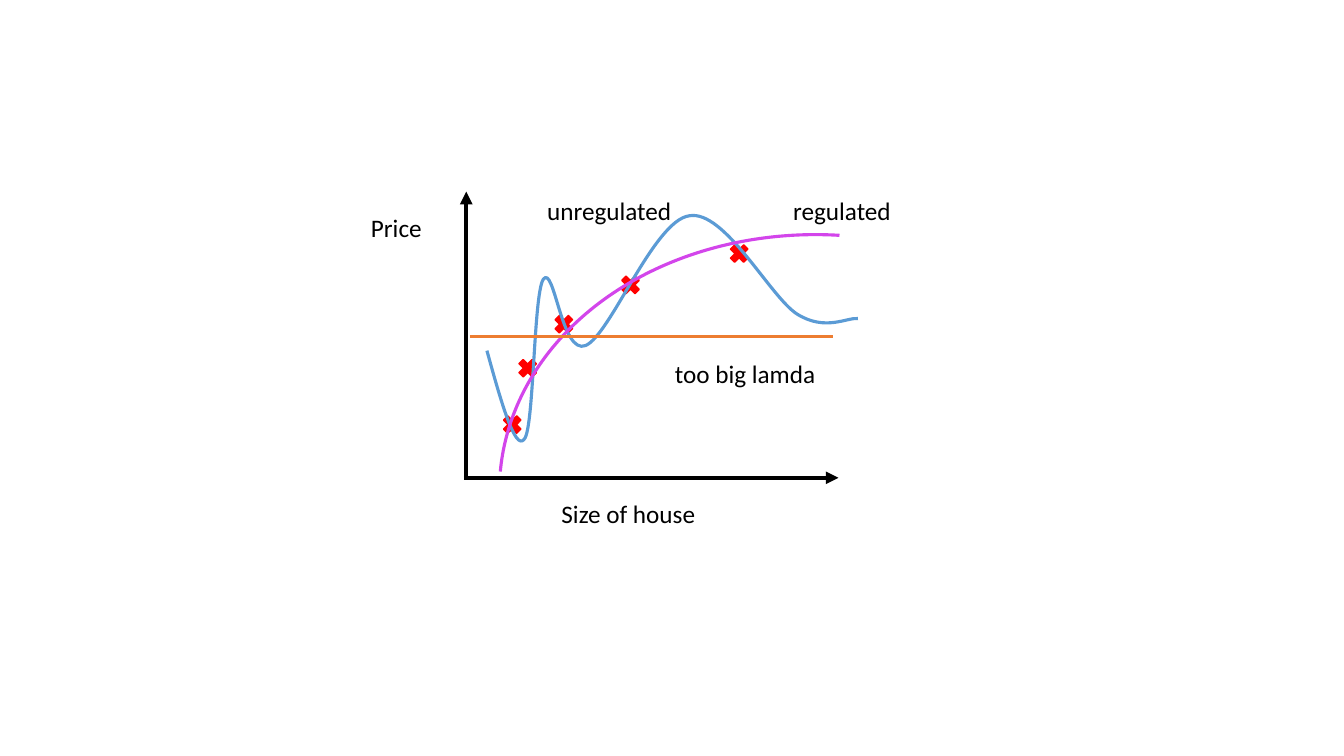
import math
import pptx
import pptx.util
import pptx.dml.color
import pptx.enum.shapes
import pptx.oxml
import pptx.oxml.ns

Cm = pptx.util.Cm
Pt = pptx.util.Pt
KIND = pptx.enum.shapes.MSO_SHAPE
INK = {"text": "000000", "axis": "000000", "mark": "FF0000",
       "wild": "5B9BD5", "smooth": "D345EB", "flat": "ED7D31"}
MARKS = [(3.59, 5.88), (3.98, 4.46), (4.89, 3.35), (6.57, 2.36), (9.31, 1.57)]
WILD = [(3.27, 4.34),
        (3.62, 5.61), (3.98, 6.88), (4.21, 6.57),
        (4.46, 6.3), (4.44, 2.94), (4.69, 2.54),
        (4.97, 2.15), (5.15, 4.47), (5.76, 4.21),
        (6.39, 3.93), (7.48, 1.06), (8.37, 0.94),
        (9.26, 0.78), (10.41, 2.99), (11.09, 3.42),
        (11.8, 3.86), (12.34, 3.5), (12.62, 3.53)]
HUB = (7.92, 4)
TILT = 8
NAMES = [("Price", 0.1, 0.73, 2.39, 1.24),
         ("Size of house", 4.9, 7.94, 5.13, 1.24)]
NOTES = [("unregulated", 4.54, 0.3, 3.73, 1.02),
         ("regulated", 10.74, 0.3, 3.73, 1.02),
         ("too big lamda", 7.76, 4.4, 4.37, 1.02)]


def tint(name):
    return pptx.dml.color.RGBColor.from_string(INK[name])


def stroke(item, ink, width):
    item.line.color.rgb = tint(ink)
    item.line.width = Pt(width)


def write(group, text, left, top, width, height, size=18, font="Calibri", ink="text"):
    box = group.shapes.add_textbox(Cm(left), Cm(top), Cm(width), Cm(height))
    box.text_frame.word_wrap = True
    run = box.text_frame.paragraphs[0].add_run()
    run.text = text
    run.font.size = Pt(size)
    run.font.name = font
    run.font.color.rgb = tint(ink)


def rule(group, start, end, ink, width, arrow=False):
    line = group.shapes.add_connector(
        pptx.enum.shapes.MSO_CONNECTOR.STRAIGHT,
        *(Cm(n) for n in (*start, *end)))
    stroke(line, ink, width)
    if arrow:
        tail = pptx.oxml.parse_xml(
            f'<a:tailEnd {pptx.oxml.ns.nsdecls("a")} type="triangle"/>')
        line.line._get_or_add_ln().append(tail)
    line._element.spPr.append(pptx.oxml.parse_xml(
        f'<a:effectLst {pptx.oxml.ns.nsdecls("a")}/>'))


def turn(knot):
    angle = math.radians(-TILT)
    a, b = knot[0] - HUB[0], knot[1] - HUB[1]
    return (HUB[0] + a * math.cos(angle) - b * math.sin(angle),
            HUB[1] + a * math.sin(angle) + b * math.cos(angle))


def bend(shape):
    legs = list(shape._element.iter(pptx.oxml.ns.qn("a:lnTo")))
    for first in range(0, len(legs), 3):
        cubic = pptx.oxml.parse_xml(
            f'<a:cubicBezTo {pptx.oxml.ns.nsdecls("a")}/>')
        legs[first].addprevious(cubic)
        for leg in legs[first:first + 3]:
            cubic.append(leg[0])
            leg.getparent().remove(leg)


def draw_axes(group, x, y):
    rule(group, (x + 2.75, y + 7.54), (x + 2.75, y + 0.33), "axis", 3, arrow=True)
    rule(group, (x + 2.69, y + 7.54), (x + 12.13, y + 7.54), "axis", 3, arrow=True)


def draw_names(group, x, y, names):
    for text, left, top, width, height in names:
        write(group, text, x + left, y + top, width, height)


def draw_marks(group, x, y, side=0.64):
    for left, top in MARKS:
        mark = group.shapes.add_shape(KIND.MATH_MULTIPLY, Cm(x + left), Cm(y + top),
                                      Cm(side), Cm(side))
        mark.shadow.inherit = False
        mark.fill.solid()
        mark.fill.fore_color.rgb = tint("mark")
        stroke(mark, "mark", 1)


def draw_fits(group, x, y):
    dots = [(Cm(x + a), Cm(y + b)) for a, b in map(turn, WILD)]
    pen = group.shapes.build_freeform(*dots[0])
    pen.add_line_segments(dots[1:], close=False)
    wild = pen.convert_to_shape()
    bend(wild)
    wild.rotation = TILT
    arc = group.shapes.add_shape(KIND.ARC, Cm(x + 5.15), Cm(y - 0.15),
                                 Cm(13.41), Cm(16.56))
    arc.rotation = 275
    arc.adjustments[0] = 162.11
    arc.adjustments[1] = 214.55
    for curve, ink in ((wild, "wild"), (arc, "smooth")):
        curve.shadow.inherit = False
        curve.fill.background()
        stroke(curve, ink, 2.25)
    rule(group, (x + 2.84, y + 3.98), (x + 11.98, y + 3.98), "flat", 2.25)


def draw_plot(slide, x, y):
    group = slide.shapes.add_group_shape()
    draw_axes(group, x, y)
    draw_names(group, x, y, NAMES)
    draw_marks(group, x, y)
    draw_fits(group, x, y)
    draw_names(group, x, y, NOTES)


def main():
    deck = pptx.Presentation()
    deck.slide_width = Cm(33.87)
    deck.slide_height = Cm(19.05)
    slide = deck.slides.add_slide(deck.slide_layouts[6])
    draw_plot(slide, 9, 4.5)
    deck.save("out.pptx")


if __name__ == "__main__":
    main()
